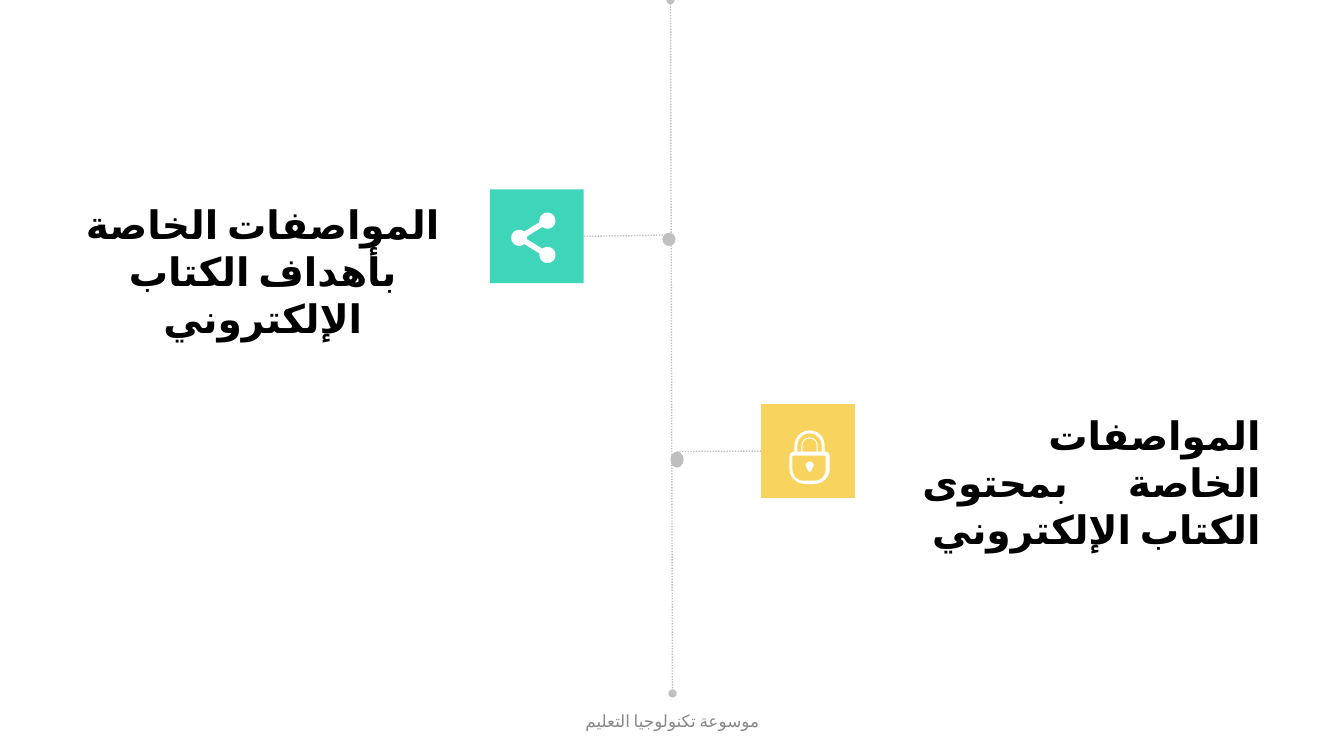
from math import cos, radians, sin

from pptx import Presentation
from pptx.dml.color import RGBColor
from pptx.enum.dml import MSO_LINE
from pptx.enum.shapes import MSO_CONNECTOR, MSO_SHAPE
from pptx.enum.text import MSO_ANCHOR, MSO_AUTO_SIZE, PP_ALIGN
from pptx.oxml.ns import qn
from pptx.util import Inches, Pt
from lxml.etree import SubElement

HUES = {"line": "BFBFBF", "teal": "3FD5BA", "gold": "F8D35E",
        "icon": "FFFFFF", "text": "000000", "foot": "898989"}
SIDE = 0.93
GRAIN = 1000  # freeform units to the inch

# text, box, right to left, alignment, anchor, fit, font
HEAD = {"name": "Calibri", "size": Pt(28), "bold": True}
FOOT = {"name": "Calibri", "size": Pt(12), "bold": False}
TOP, MID = MSO_ANCHOR.TOP, MSO_ANCHOR.MIDDLE
GROW, FIXED = MSO_AUTO_SIZE.SHAPE_TO_FIT_TEXT, MSO_AUTO_SIZE.NONE
TEXTS = [
    ("المواصفات الخاصة بأهداف الكتاب الإلكتروني", (0.45, 1.94, 4.31, 1.04),
     True, PP_ALIGN.CENTER, TOP, GROW, HEAD, "text"),
    ("المواصفات الخاصة بمحتوى الكتاب الإلكتروني", (9.05, 4.03, 3.55, 1.04),
     True, PP_ALIGN.JUSTIFY, TOP, GROW, HEAD, "text"),
    ("موسوعة تكنولوجيا التعليم", (4.42, 6.95, 4.5, 0.4),
     False, PP_ALIGN.CENTER, MID, FIXED, FOOT, "foot"),
]

# tile corner and hue, tile side to join, far end of the branch, dot box
STEPS = [
    ((4.86, 1.88), "teal", 3, (6.68, 2.33), (6.57, 2.31, 0.13, 0.13)),
    ((7.55, 4.01), "gold", 1, (6.71, 4.48), (6.65, 4.48, 0.13, 0.16)),
]

# icons are lists of outlines; an outline is a list of arcs
# (centre x, centre y, radius, first angle, last angle); radius 0 is a corner
SHARE = [[
    (5.43, 2.19, 0.08, 169, 489), (5.15, 2.36, 0.08, -11, 11),
    (5.43, 2.53, 0.08, 231, 551), (5.15, 2.36, 0.08, 51, 309),
]]
LOCK = [
    [(8.03, 4.42, 0.15, 180, 360), (8.18, 4.53, 0.05, 270, 360),
     (8.08, 4.65, 0.15, 0, 90), (7.98, 4.65, 0.15, 90, 180),
     (7.88, 4.53, 0.05, 180, 270)],
    [(8.18, 4.53, 0.01, 270, 360), (8.08, 4.66, 0.11, 0, 90),
     (7.97, 4.66, 0.11, 90, 180), (7.87, 4.53, 0.01, 180, 270)],
    [(8.03, 4.42, 0.12, 180, 360), (8.15, 4.48, 0, 0, 0),
     (8.11, 4.48, 0, 0, 0), (8.03, 4.42, 0.08, 360, 180),
     (7.95, 4.48, 0, 0, 0), (7.91, 4.48, 0, 0, 0)],
    [(8.03, 4.42, 0.07, 180, 360), (8.1, 4.48, 0, 0, 0),
     (7.96, 4.48, 0, 0, 0)],
]
KEY = [[(8.03, 4.62, 0.04, 180, 360), (8.03, 4.66, 0.02, 0, 180)]]

deck = Presentation()
deck.slide_width, deck.slide_height = Inches(13.33), Inches(7.5)
slide = deck.slides.add_slide(deck.slide_layouts[6])
shapes = slide.shapes


def tint(name):
    return RGBColor.from_string(HUES[name])


def paint(shape, hue):
    shape.shadow.inherit = False
    shape.fill.solid()
    shape.fill.fore_color.rgb = tint(hue)
    shape.line.fill.background()
    return shape


def block(kind, box, hue):
    return paint(shapes.add_shape(kind, *map(Inches, box)), hue)


def link(start, end):
    """Draw a dotted grey line."""
    wire = shapes.add_connector(MSO_CONNECTOR.STRAIGHT, *map(Inches, start + end))
    wire.line.color.rgb = tint("line")
    wire.line.width = Pt(1)
    wire.line.dash_style = MSO_LINE.ROUND_DOT
    SubElement(wire._element.spPr, qn("a:effectLst"))
    return wire


def trace(arcs):
    """Turn arcs into freeform points, one every 15 degrees or so."""
    points = []
    for x, y, size, first, last in arcs:
        count = max(1, round(abs(last - first) / 15)) if size else 0
        for step in range(count + 1):
            turn = radians(first + (last - first) * step / max(count, 1))
            points.append((round(GRAIN * (x + size * cos(turn))),
                           round(GRAIN * (y + size * sin(turn)))))
    return points


def draw(icon):
    first, *rest = map(trace, icon)
    pen = shapes.build_freeform(*first[0], scale=Inches(1) / GRAIN)
    pen.add_line_segments(first[1:], close=True)
    for points in rest:
        pen.move_to(*points[0])
        pen.add_line_segments(points[1:], close=True)
    paint(pen.convert_to_shape(), "icon")


def write(text, box, rtl, align, anchor, fit, face, hue):
    frame = shapes.add_textbox(*map(Inches, box)).text_frame
    looks = {"word_wrap": True, "auto_size": fit, "vertical_anchor": anchor}
    for name, value in looks.items():
        setattr(frame, name, value)
    para = frame.paragraphs[0]
    para.alignment = align
    if rtl:
        para._p.get_or_add_pPr().set("rtl", "1")
    run = para.add_run()
    run.text = text
    for name, value in face.items():
        setattr(run.font, name, value)
    run.font.color.rgb = tint(hue)
    props = run._r.get_or_add_rPr()
    props.set("lang", "ar-EG")
    SubElement(props, qn("a:cs"), typeface=face["name"])


spine = link((6.65, 0), (6.67, 6.88))
for end in ("headEnd", "tailEnd"):
    SubElement(spine.line._get_or_add_ln(), qn("a:" + end), type="oval")

for corner, hue, side, end, dot in STEPS:
    tile = block(MSO_SHAPE.RECTANGLE, corner + (SIDE, SIDE), hue)
    link(corner, end).begin_connect(tile, side)
    block(MSO_SHAPE.OVAL, dot, "line")

for icon in (SHARE, LOCK, KEY):
    draw(icon)
for item in TEXTS:
    write(*item)

deck.save("out.pptx")
